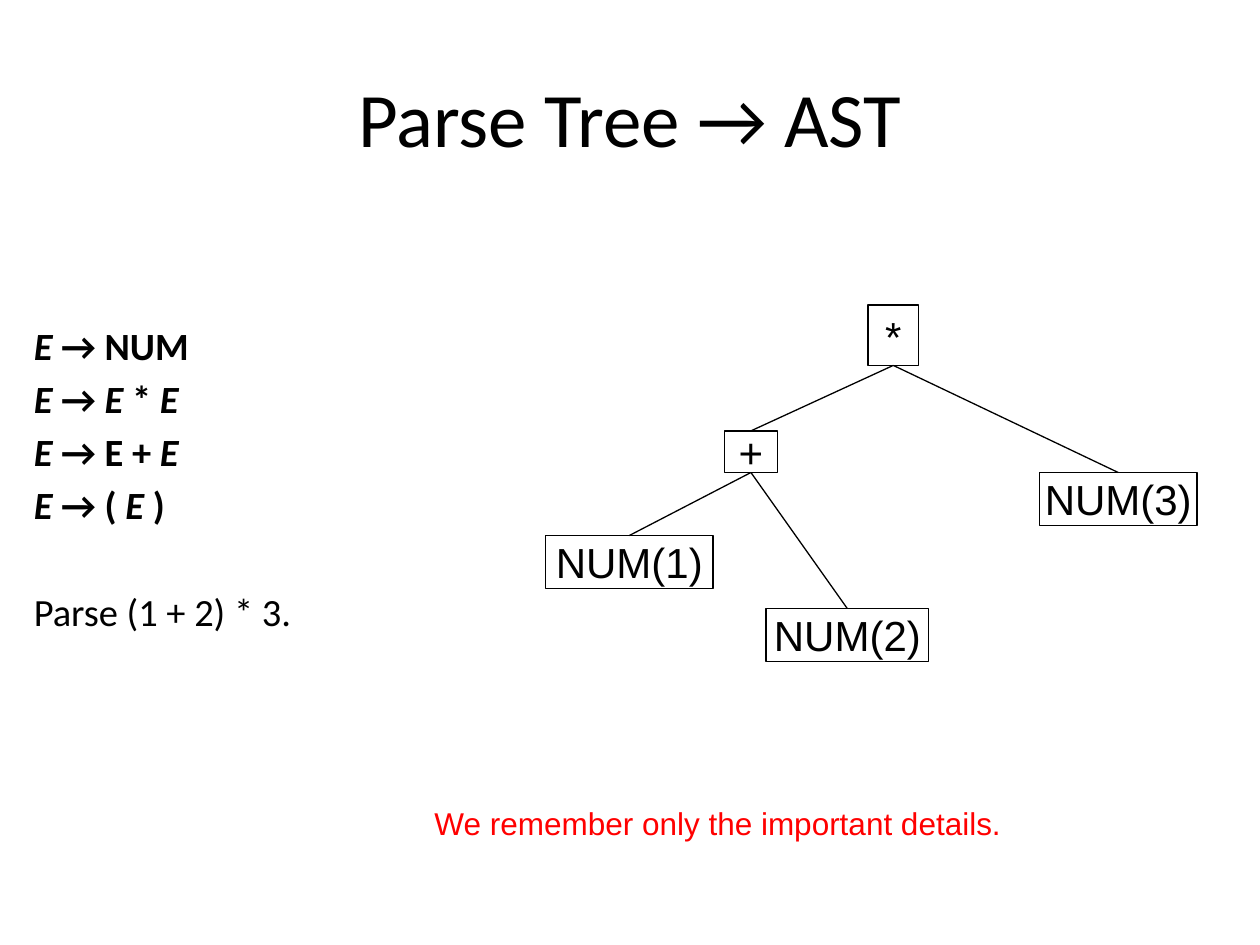
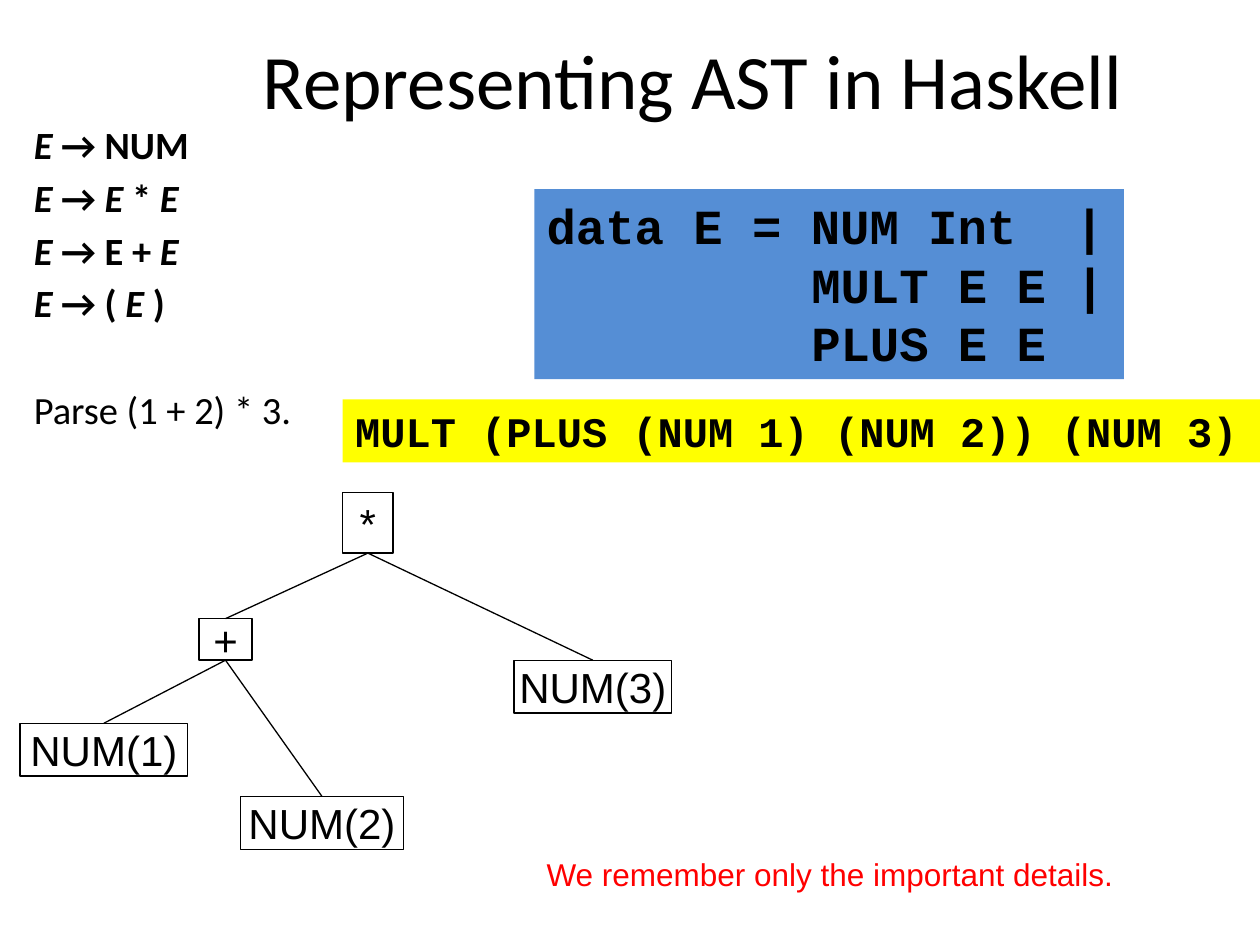
from lxml import etree
from pptx import Presentation
from pptx.dml.color import RGBColor
from pptx.enum import shapes, text
from pptx.oxml import ns
from pptx.util import Inches, Pt

BLACK = RGBColor(0x00, 0x00, 0x00)
RED = RGBColor(0xFF, 0x00, 0x00)
BLUE = RGBColor(0x55, 0x8E, 0xD5)
YELLOW = RGBColor(0xFF, 0xFF, 0x00)

TITLE = dict(name="Calibri", size=Pt(44))
RULE = dict(name="Calibri", size=Pt(22), bold=True)
NODE = dict(name="Arial", size=Pt(24))
NOTE = dict(name="Arial", size=Pt(18))
CODE = dict(name="Courier New", bold=True)

GRAMMAR = [
    [("E ", True), ("→ NUM", False)],
    [("E", True), (" → ", False), ("E", True), (" * ", False), ("E", True)],
    [("E", True), (" → E + ", False), ("E", True)],
    [("E", True), (" → ( ", False), ("E", True), (" )", False)],
]
NODES = {
    "NUM(3)": (8.25, 3.75, 1.25, 0.42),
    "NUM(2)": (6.08, 4.83, 1.29, 0.42),
    "NUM(1)": (4.33, 4.25, 1.33, 0.42),
    "*": (6.89, 2.42, 0.4, 0.48),
    "+": (5.75, 3.42, 0.42, 0.33),
}
EDGES = [("*", "+"), ("*", "NUM(3)"), ("+", "NUM(1)"), ("+", "NUM(2)")]
BOTTOM, TOP = 2, 0


def add_run(p, words, style, color=BLACK, **extra):
    """Append a formatted run to a paragraph."""
    r = p.add_run()
    r.text = words
    for key, value in {**style, **extra}.items():
        setattr(r.font, key, value)
    r.font.color.rgb = color


def indent(p, left, first=0):
    """Set the left margin and first-line indent of a paragraph in inches."""
    pPr = p._p.get_or_add_pPr()
    pPr.set("marL", str(Inches(left)))
    pPr.set("indent", str(Inches(first)))


def add_text(s, box, wrap=True):
    """Add a text box and return its text frame."""
    tf = s.shapes.add_textbox(*map(Inches, box)).text_frame
    tf.word_wrap = wrap
    return tf


def add_rect(tree, box, fill=None, line=None):
    """Add a plain rectangle with an optional fill and outline."""
    sp = tree.add_shape(shapes.MSO_SHAPE.RECTANGLE, *map(Inches, box))
    sp.shadow.inherit = False
    if fill is None:
        sp.fill.background()
    else:
        sp.fill.solid()
        sp.fill.fore_color.rgb = fill
    if line is None:
        sp.line.fill.background()
    else:
        sp.line.color.rgb = line
        sp.line.width = Pt(0.75)
    return sp


def add_title(s, words, left, top):
    """Add the centred slide title."""
    tf = add_text(s, (left, top, 9, 1.25))
    tf.vertical_anchor = text.MSO_ANCHOR.MIDDLE
    p = tf.paragraphs[0]
    p.alignment = text.PP_ALIGN.CENTER
    add_run(p, words, TITLE)


def add_grammar(s, top):
    """Add the grammar rules and the expression to parse."""
    tf = add_text(s, (0.17, top, 4.27, 4.83))
    tf.margin_top = Inches(0.48)
    for i, rule in enumerate(GRAMMAR):
        p = tf.add_paragraph() if i else tf.paragraphs[0]
        indent(p, 0.38, -0.38)
        p.space_before = Pt(3.8 if i else 0)
        for words, italic in rule:
            add_run(p, words, RULE, italic=italic)
    p = tf.add_paragraph()
    indent(p, 0.38, -0.38)
    p.space_before = Pt(34.5)
    add_run(p, "Parse (1 + 2) * 3.", RULE, bold=False)


def add_note(s, left, top):
    """Add the red remark."""
    tf = add_text(s, (left, top, 4.74, 0.4), wrap=False)
    tf.auto_size = text.MSO_AUTO_SIZE.SHAPE_TO_FIT_TEXT
    add_run(tf.paragraphs[0], "We remember only the important details. ", NOTE, RED)


def add_edge(tree, parent, child):
    """Connect the bottom of a parent node to the top of its child."""
    c = tree.add_connector(shapes.MSO_CONNECTOR.STRAIGHT, 0, 0, 0, 0)
    c.begin_connect(parent, BOTTOM)
    c.end_connect(child, TOP)
    c.line.color.rgb = BLACK
    c.line.width = Pt(0.75)
    etree.SubElement(c._element.spPr, ns.qn("a:effectLst"))


def add_ast(tree, dx=0, dy=0):
    """Draw the syntax tree, shifted by the given inches."""
    nodes = {}
    for label, (x, y, w, h) in NODES.items():
        sp = nodes[label] = add_rect(tree, (x + dx, y + dy, w, h), line=BLACK)
        tf = sp.text_frame
        tf.word_wrap = False
        tf.vertical_anchor = text.MSO_ANCHOR.MIDDLE
        p = tf.paragraphs[0]
        p.alignment = text.PP_ALIGN.CENTER
        add_run(p, label, NODE)
    for parent, child in EDGES:
        add_edge(tree, nodes[parent], nodes[child])


def add_code(s, box, fill, size, lines):
    """Add a filled code panel from (left margin, words) lines."""
    tf = add_rect(s.shapes, box, fill=fill).text_frame
    tf.word_wrap = True
    tf.vertical_anchor = text.MSO_ANCHOR.TOP
    for i, (left, words) in enumerate(lines):
        p = tf.add_paragraph() if i else tf.paragraphs[0]
        p.alignment = text.PP_ALIGN.LEFT
        indent(p, left)
        add_run(p, words, CODE, size=Pt(size))


def parse_tree_slide(s):
    """Build the slide that turns a parse tree into an AST."""
    add_grammar(s, 2.08)
    add_note(s, 3.35, 6.33)
    add_ast(s.shapes)
    add_title(s, "Parse Tree → AST", 0.5, 0.3)


def haskell_slide(s):
    """Build the slide that represents the AST in Haskell."""
    add_grammar(s, 0.48)
    add_note(s, 4.24, 6.74)
    add_ast(s.shapes.add_group_shape().shapes, -4.17, 1.49)
    add_title(s, "Representing AST in Haskell", 1, 0)
    add_code(s, (4.24, 1.5, 4.68, 1.51), BLUE, 28,
             [(0, "data E = NUM Int  |"), (2.1, "MULT E E |"), (2.1, "PLUS E E")])
    add_code(s, (2.72, 3.17, 7.29, 0.5), YELLOW, 24,
             [(0, "MULT (PLUS (NUM 1) (NUM 2)) (NUM 3)")])


def main():
    """Build and save the presentation."""
    prs = Presentation()
    prs.slide_width, prs.slide_height = Inches(10), Inches(7.5)
    for build in (parse_tree_slide, haskell_slide):
        build(prs.slides.add_slide(prs.slide_layouts[6]))
    prs.save("out.pptx")


main()
